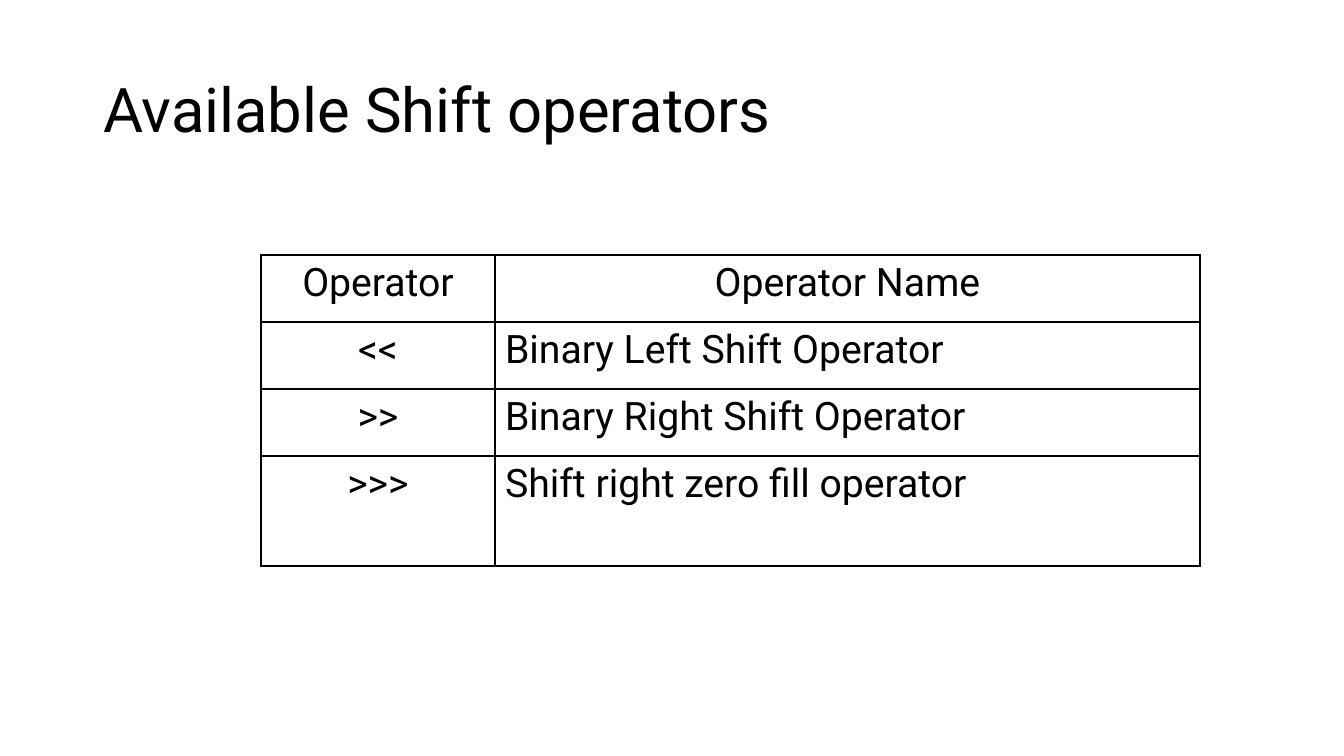
from lxml import etree
from pptx import Presentation
from pptx import util as u
from pptx.dml import color
from pptx.enum import text
from pptx.oxml import ns

PIXEL = 914400 / 100.8
FONT = "Roboto"
BLACK = "000000"
WHITE = "FFFFFF"
OPERATORS = [
    ("Operator", "Operator Name"),
    ("<<", "Binary Left Shift Operator"),
    (">>", "Binary Right Shift Operator"),
    (">>>", "Shift right zero fill operator"),
]
COLUMN_WIDTHS = [234, 705]
ROW_HEIGHTS = [67, 67, 67, 110]


def px(length):
    return u.Emu(round(length * PIXEL))


def rgb(value):
    return color.RGBColor.from_string(value)


def write(frame, words, size, align=text.PP_ALIGN.LEFT, spacing=None):
    para = frame.paragraphs[0]
    para.alignment = align
    para.line_spacing = spacing
    span = para.add_run()
    span.text = words
    span.font.name = FONT
    span.font.size = u.Pt(size)
    span.font.color.rgb = rgb(BLACK)


def add_borders(cell, line_color, width):
    properties = cell._tc.get_or_add_tcPr()
    for index, side in enumerate(("a:lnL", "a:lnR", "a:lnT", "a:lnB")):
        line = etree.Element(ns.qn(side), w=str(u.Pt(width)))
        fill = etree.SubElement(line, ns.qn("a:solidFill"))
        etree.SubElement(fill, ns.qn("a:srgbClr"), val=line_color)
        properties.insert(index, line)


def place_title(page, left, top, width, height):
    title = page.shapes.title
    title.left, title.top = px(left), px(top)
    title.width, title.height = px(width), px(height)
    frame = title.text_frame
    frame.word_wrap = True
    frame.auto_size = text.MSO_AUTO_SIZE.NONE
    frame.vertical_anchor = text.MSO_ANCHOR.MIDDLE
    write(frame, "Available Shift operators", size=44, spacing=0.9)


def place_operator_table(page, left, top):
    holder = page.shapes.add_table(
        len(OPERATORS), len(COLUMN_WIDTHS), px(left), px(top),
        px(sum(COLUMN_WIDTHS)), px(sum(ROW_HEIGHTS)))
    table = holder.table
    table.first_row = False
    table.horz_banding = False
    for column, width in zip(table.columns, COLUMN_WIDTHS):
        column.width = px(width)
    for row, height in zip(table.rows, ROW_HEIGHTS):
        row.height = px(height)
    for row_index, entries in enumerate(OPERATORS):
        for column_index, words in enumerate(entries):
            cell = table.cell(row_index, column_index)
            cell.fill.solid()
            cell.fill.fore_color.rgb = rgb(WHITE)
            add_borders(cell, BLACK, width=1)
            centred = row_index == 0 or column_index == 0
            align = text.PP_ALIGN.CENTER if centred else text.PP_ALIGN.LEFT
            write(cell.text_frame, words, size=28, align=align)


deck = Presentation()
deck.slide_width, deck.slide_height = px(1344), px(756)
page = deck.slides.add_slide(deck.slide_layouts[5])
page.background.fill.solid()
page.background.fill.fore_color.rgb = rgb(WHITE)
place_title(page, 93, 40, 1159, 146)
place_operator_table(page, 261, 255)
deck.save("out.pptx")
